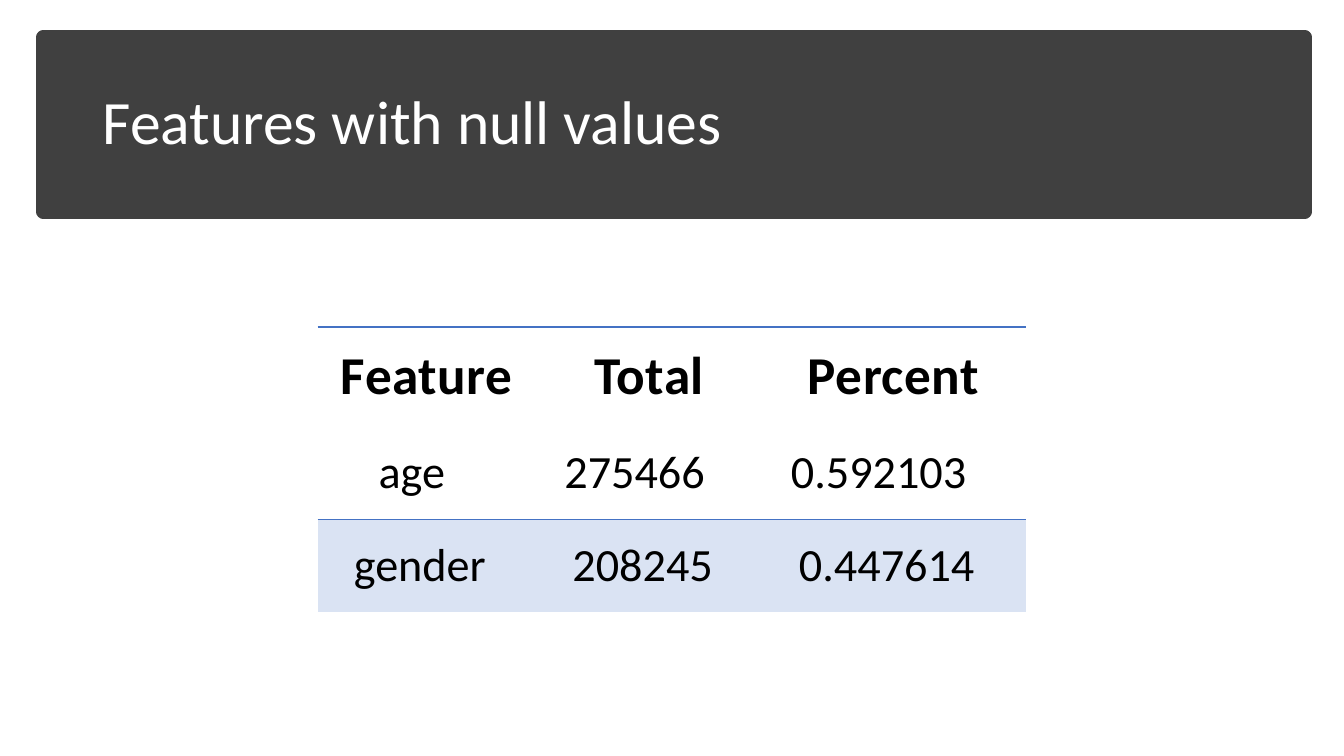
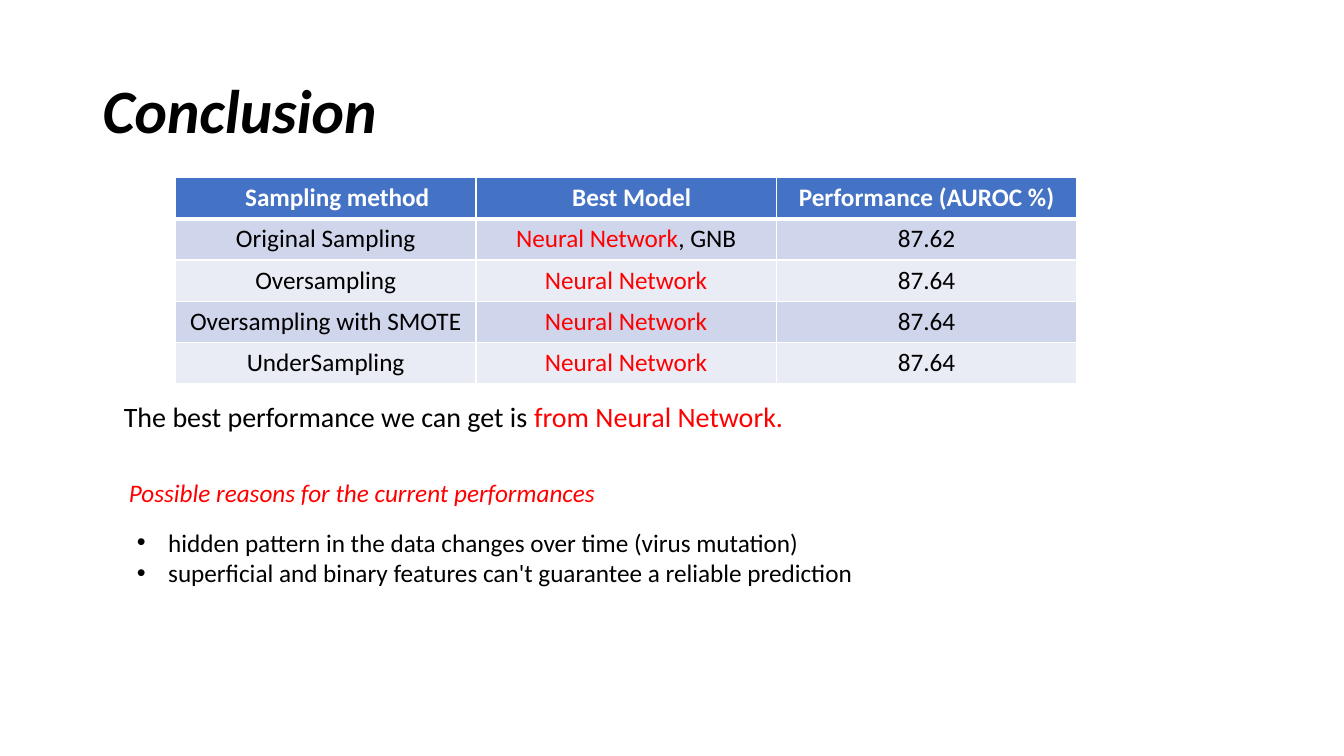
import pptx
import pptx.util
import pptx.dml.color
import pptx.enum.shapes
import pptx.enum.text
import pptx.oxml
import pptx.oxml.ns

Inches = pptx.util.Inches
Pt = pptx.util.Pt
RGBColor = pptx.dml.color.RGBColor
ALIGN = pptx.enum.text.PP_ALIGN
ANCHOR = pptx.enum.text.MSO_ANCHOR
qn = pptx.oxml.ns.qn

WHITE = RGBColor(0xFF, 0xFF, 0xFF)
BLACK = RGBColor(0x00, 0x00, 0x00)
RED = RGBColor(0xFF, 0x00, 0x00)
CHARCOAL = RGBColor(0x40, 0x40, 0x40)
BLUE = RGBColor(0x44, 0x72, 0xC4)
PALE_BLUE = RGBColor(0xDA, 0xE3, 0xF3)
BAND_DARK = RGBColor(0xCF, 0xD5, 0xEA)
BAND_LIGHT = RGBColor(0xE9, 0xEB, 0xF5)

FONT = "Calibri"
NO_GRID_STYLE = "{2D5ABB26-0587-4C30-8999-92F81FD0307C}"


def add_bullet(p, indent):
    pPr = p._p.get_or_add_pPr()
    pPr.set("marL", str(Inches(indent)))
    pPr.set("indent", str(-Inches(indent)))
    for tag, name, value in (("buFont", "typeface", "Arial"), ("buChar", "char", "•")):
        bullet = pptx.oxml.parse_xml(f'<a:{tag} {pptx.oxml.ns.nsdecls("a")}/>')
        bullet.set(name, value)
        pPr.append(bullet)


def write(tf, *paragraphs, size=18, color=BLACK, bold=False, italic=False,
          align=ALIGN.LEFT, line_spacing=None, spacing=0, bullet_indent=None):
    """Each paragraph is a string or a list of (text, color) runs."""
    for i, content in enumerate(paragraphs):
        p = tf.paragraphs[0] if i == 0 else tf.add_paragraph()
        p.alignment = align
        if line_spacing:
            p.line_spacing = line_spacing
        if bullet_indent:
            add_bullet(p, bullet_indent)
        runs = [(content, color)] if isinstance(content, str) else content
        for text, run_color in runs:
            r = p.add_run()
            r.text = text
            r.font.name = FONT
            r.font.size = Pt(size)
            r.font.bold = bold
            r.font.italic = italic
            r.font.color.rgb = run_color
            if spacing:
                r.font._element.set("spc", str(round(spacing * 100)))


class Deck:
    def __init__(self):
        self.prs = pptx.Presentation()
        self.prs.slide_width = Inches(13.33)
        self.prs.slide_height = Inches(7.5)
        self.s = None

    def new_slide(self):
        self.s = self.prs.slides.add_slide(self.prs.slide_layouts[6])

    def band(self, x, y, w, h, color):
        sp = self.s.shapes.add_shape(pptx.enum.shapes.MSO_SHAPE.RECTANGLE,
                                     Inches(x), Inches(y), Inches(w), Inches(h))
        sp.shadow.inherit = False
        sp.fill.solid()
        sp.fill.fore_color.rgb = color
        sp.line.color.rgb = color
        sp.line.width = Pt(10)

    def text(self, x, y, w, h, *paragraphs, anchor=ANCHOR.TOP, **fmt):
        sp = self.s.shapes.add_textbox(Inches(x), Inches(y), Inches(w), Inches(h))
        tf = sp.text_frame
        tf.word_wrap = True
        tf.vertical_anchor = anchor
        write(tf, *paragraphs, **fmt)

    def title(self, y, text, **fmt):
        self.text(0.92, y, 11.5, 1.45, text, anchor=ANCHOR.MIDDLE,
                  size=44, line_spacing=0.9, **fmt)

    def table(self, x, y, col_widths, row_heights):
        frame = self.s.shapes.add_table(
            len(row_heights), len(col_widths), Inches(x), Inches(y),
            Inches(sum(col_widths)), Inches(sum(row_heights)))
        table = frame.table
        table.first_row = table.horz_banding = False
        table._tbl.tblPr.find(qn("a:tableStyleId")).text = NO_GRID_STYLE
        for col, width in zip(table.columns, col_widths):
            col.width = Inches(width)
        for row, height in zip(table.rows, row_heights):
            row.height = Inches(height)
        return table

    def cell(self, cell, content, margins=(0.1, 0.05, 0.1, 0.05), fill=None,
             borders=None, anchor=ANCHOR.TOP, **fmt):
        (cell.margin_left, cell.margin_top,
         cell.margin_right, cell.margin_bottom) = map(Inches, margins)
        cell.vertical_anchor = anchor
        borders = borders or {}
        for side in "LRTB":
            if side in borders:
                self.border(cell, side, *borders[side])
        if fill is not None:
            cell.fill.solid()
            cell.fill.fore_color.rgb = fill
        write(cell.text_frame, content, align=ALIGN.CENTER, **fmt)

    def border(self, cell, side, color, width):
        cell._tc.get_or_add_tcPr().append(pptx.oxml.parse_xml(
            f'<a:ln{side} {pptx.oxml.ns.nsdecls("a")} w="{Pt(width)}">'
            f'<a:solidFill><a:srgbClr val="{color}"/></a:solidFill></a:ln{side}>'))


def null_values_slide(deck):
    deck.new_slide()
    deck.band(0.43, 0.37, 12.51, 1.73, CHARCOAL)
    deck.title(0.51, "Features with null values", color=WHITE)

    rule = (BLUE, 0.75)
    rows = [
        (("Feature", "Total", "Percent"),
         dict(size=38, bold=True, spacing=0.3, margins=(0, 0.16, 0.03, 0.16),
              borders={"T": (BLUE, 1.5)})),
        (("age", "275466", "0.592103"),
         dict(size=33, margins=(0, 0.16, 0.32, 0.16), borders={"B": rule})),
        (("gender", "208245", "0.447614"),
         dict(size=33, margins=(0.16, 0.16, 0.32, 0.16), borders={"T": rule},
              fill=PALE_BLUE)),
    ]
    table = deck.table(3.15, 3.24, [2.19, 2.23, 2.61], [0.99, 0.92, 0.92])
    for row, (values, style) in zip(table.rows, rows):
        for cell, value in zip(row.cells, values):
            deck.cell(cell, value, anchor=ANCHOR.MIDDLE, **style)


def conclusion_slide(deck):
    deck.new_slide()
    deck.title(0.4, "Conclusion", bold=True, italic=True)
    deck.text(1.13, 3.95, 10.69, 0.51,
              [("The best performance we can get is", BLACK),
               (" from Neural Network.", RED)],
              size=20, line_spacing=0.9)

    headers = [("Sampling method", 0.33), ("Best Model", 0.21),
               ("Performance (AUROC %)", 0.1)]
    winner = ("Neural Network", RED)
    results = [
        ("Original Sampling", [winner, (", GNB", BLACK)], "87.62"),
        ("Oversampling", [winner], "87.64"),
        ("Oversampling with SMOTE", [winner], "87.64"),
        ("UnderSampling", [winner], "87.64"),
    ]
    grid = {side: (WHITE, 1) for side in "LRTB"}
    header_edge = (WHITE, 3)
    table = deck.table(1.74, 1.76, [2.98] * 3, [0.41] * 5)
    for cell, (header, left) in zip(table.rows[0].cells, headers):
        deck.cell(cell, header, margins=(left, 0.05, 0.1, 0.05), fill=BLUE,
                  borders={**grid, "B": header_edge}, color=WHITE, bold=True)
    for i, values in enumerate(results):
        borders = {**grid, "T": header_edge} if i == 0 else grid
        for cell, value in zip(table.rows[i + 1].cells, values):
            deck.cell(cell, value, borders=borders,
                      fill=BAND_LIGHT if i % 2 else BAND_DARK)

    deck.text(1.18, 4.69, 5.32, 0.4, "Possible reasons for the current performances",
              color=RED, italic=True)
    deck.text(1.26, 5.18, 7.63, 0.71,
              "hidden pattern in the data changes over time (virus mutation)",
              "superficial and binary features can't guarantee a reliable prediction",
              bullet_indent=0.31)


def main():
    deck = Deck()
    null_values_slide(deck)
    conclusion_slide(deck)
    deck.prs.save("out.pptx")


if __name__ == "__main__":
    main()
